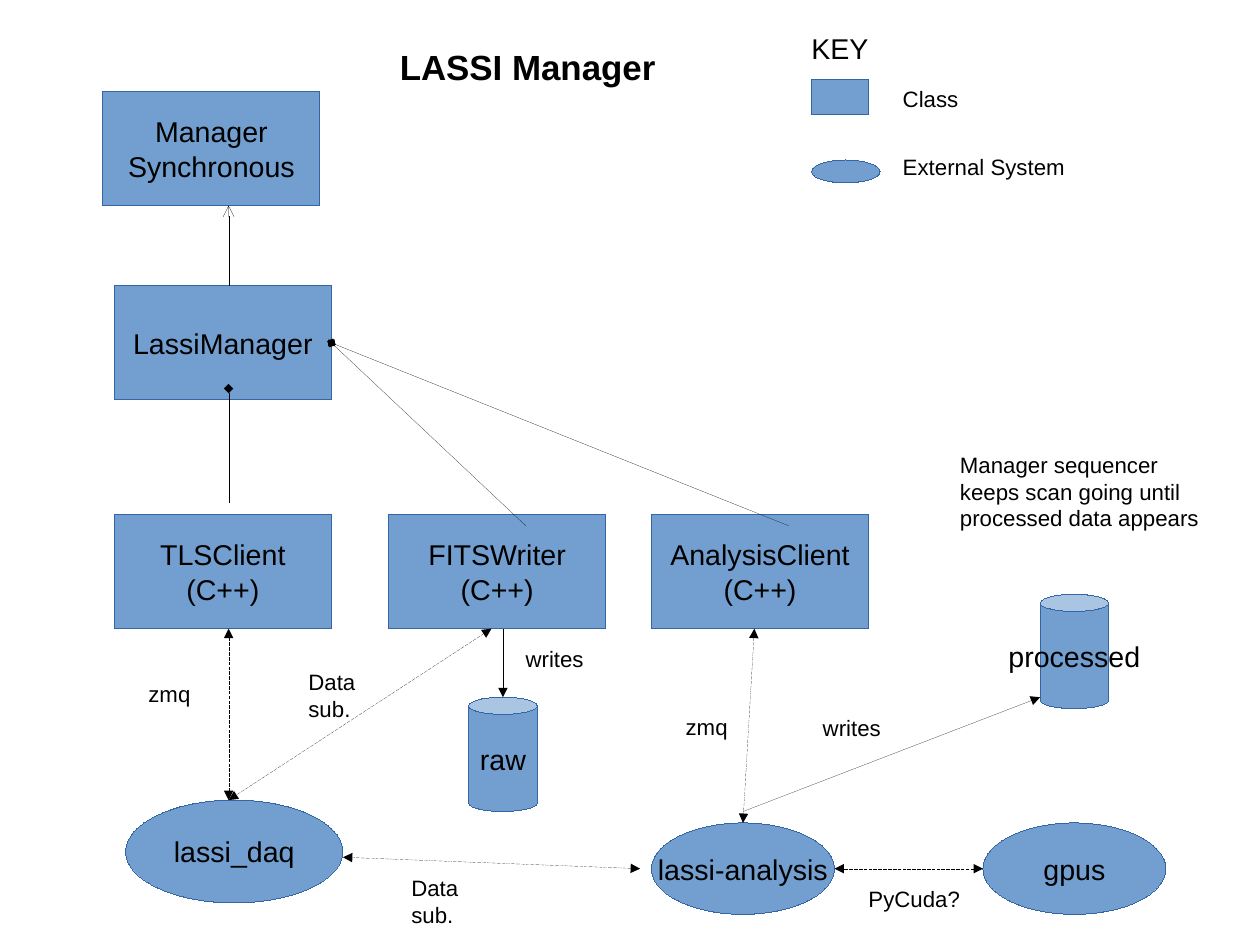
import pptx
import pptx.dml.color
import pptx.enum.dml
import pptx.enum.shapes
import pptx.enum.text
import pptx.oxml.ns
import pptx.util
from pptx.util import Inches

COLORS = {"fill": "729FCF", "outline": "3465A4", "ink": "000000", "paper": "FFFFFF"}
FONT = "Arial"
SHAPES = pptx.enum.shapes.MSO_SHAPE
ALIGN = pptx.enum.text.PP_ALIGN


def rgb(name):
    return pptx.dml.color.RGBColor.from_string(COLORS[name])


def write_text(frame, text, size=18, bold=False, align=ALIGN.LEFT, wrap=True):
    frame.word_wrap = wrap
    for index, line in enumerate(text.split("\n")):
        paragraph = frame.paragraphs[0] if index == 0 else frame.add_paragraph()
        paragraph.alignment = align
        run = paragraph.add_run()
        run.text = line
        run.font.name = FONT
        run.font.size = pptx.util.Pt(size)
        run.font.bold = bold
        run.font.color.rgb = rgb("ink")


def set_hairline(line, color):
    line.color.rgb = rgb(color)
    outline = line._get_or_add_ln()
    outline.set("w", "0")
    return outline


def add_label(slide, text, left, top, width, height, size=14, bold=False):
    box = slide.shapes.add_textbox(Inches(left), Inches(top), Inches(width), Inches(height))
    write_text(box.text_frame, text, size=size, bold=bold)
    box.text_frame.auto_size = pptx.enum.text.MSO_AUTO_SIZE.SHAPE_TO_FIT_TEXT


def add_node(slide, kind, left, top, width, height, text=""):
    shape = slide.shapes.add_shape(
        kind, Inches(left), Inches(top), Inches(width), Inches(height))
    shape.shadow.inherit = False
    shape.fill.solid()
    shape.fill.fore_color.rgb = rgb("fill")
    set_hairline(shape.line, "outline")
    if text:
        shape.text_frame.vertical_anchor = pptx.enum.text.MSO_ANCHOR.MIDDLE
        write_text(shape.text_frame, text, align=ALIGN.CENTER, wrap=False)


def add_link(slide, start, end, head=None, tail=None, dashed=False):
    connector = slide.shapes.add_connector(
        pptx.enum.shapes.MSO_CONNECTOR.STRAIGHT,
        *(Inches(value) for value in (*start, *end)))
    outline = set_hairline(connector.line, "ink")
    if dashed:
        connector.line.dash_style = pptx.enum.dml.MSO_LINE.SQUARE_DOT
    for tag, arrow in (("a:headEnd", head), ("a:tailEnd", tail)):
        if arrow:
            element = pptx.oxml.ns.qn(tag)
            outline.append(outline.makeelement(element, {"type": arrow}))
    properties = connector._element.spPr
    properties.append(properties.makeelement(pptx.oxml.ns.qn("a:effectLst"), {}))


def draw_classes(slide, left, top):
    classes = [
        (0, 0, "Manager\nSynchronous"),
        (0.1, 1.7, "LassiManager"),
        (0.1, 3.7, "TLSClient\n(C++)"),
        (2.5, 3.7, "FITSWriter\n(C++)"),
        (4.8, 3.7, "AnalysisClient\n(C++)"),
    ]
    for x, y, text in classes:
        add_node(slide, SHAPES.RECTANGLE, left + x, top + y, 1.9, 1, text)


def draw_systems(slide, left, top):
    systems = [
        (0, 0, 1.9, 0.9, "lassi_daq"),
        (4.6, 0.2, 1.6, 0.8, "lassi-analysis"),
        (7.5, 0.2, 1.6, 0.8, "gpus"),
    ]
    for x, y, width, height, text in systems:
        add_node(slide, SHAPES.OVAL, left + x, top + y, width, height, text)


def draw_stores(slide, left, top):
    for x, y, text in [(0, 0.9, "raw"), (5, 0, "processed")]:
        add_node(slide, SHAPES.CAN, left + x, top + y, 0.6, 1, text)


def draw_class_links(slide, left, top):
    links = [
        ((0, 0.7), (0, 0), "arrow"),
        ((0, 2.6), (0, 1.6), "diamond"),
        ((2.6, 2.8), (0.9, 1.2), "diamond"),
        ((4.9, 2.8), (0.9, 1.2), "diamond"),
    ]
    for (x1, y1), (x2, y2), tail in links:
        add_link(slide, (left + x1, top + y1), (left + x2, top + y2), tail=tail)


def draw_data_links(slide, left, top):
    exchanges = [
        ((0, 0), (0, 1.5)),
        ((4.6, 0), (4.5, 1.7)),
        ((2.3, 0), (0, 1.5)),
        ((3.6, 2.1), (1, 2)),
        ((6.6, 2.1), (5.3, 2.1)),
    ]
    writes = [((2.4, 0), (2.4, 0.6)), ((4.5, 1.6), (7.1, 0.6))]
    for (x1, y1), (x2, y2) in exchanges:
        add_link(slide, (left + x1, top + y1), (left + x2, top + y2),
                 head="triangle", tail="triangle", dashed=True)
    for (x1, y1), (x2, y2) in writes:
        add_link(slide, (left + x1, top + y1), (left + x2, top + y2), tail="triangle")

    labels = [
        ("PyCuda?", 5.5, 2.2, 1.3, 0.32),
        ("writes", 2.5, 0.1, 0.9, 0.32),
        ("writes", 5.1, 0.7, 0.9, 0.32),
        ("Data sub.", 0.6, 0.3, 0.7, 0.54),
        ("Data sub.", 1.5, 2.1, 0.7, 0.54),
        ("zmq", -0.8, 0.4, 0.7, 0.32),
        ("zmq", 3.9, 0.69, 0.7, 0.32),
    ]
    for text, x, y, width, height in labels:
        add_label(slide, text, left + x, top + y, width, height)


def draw_key(slide, left, top):
    add_label(slide, "KEY", left, top, 0.8, 0.38, size=18)
    add_node(slide, SHAPES.RECTANGLE, left + 0.1, top + 0.48, 0.5, 0.3)
    add_label(slide, "Class", left + 0.8, top + 0.48, 0.7, 0.32)
    add_node(slide, SHAPES.OVAL, left + 0.1, top + 1.18, 0.6, 0.2)
    add_label(slide, "External System", left + 0.8, top + 1.07, 1.8, 0.41)


def main():
    presentation = pptx.Presentation()
    presentation.slide_width = Inches(28 / 2.54)
    presentation.slide_height = Inches(21 / 2.54)
    presentation.element.sldSz.attrib.pop("type", None)
    slide = presentation.slides.add_slide(presentation.slide_layouts[6])
    slide.background.fill.solid()
    slide.background.fill.fore_color.rgb = rgb("paper")

    draw_classes(slide, 0.9, 0.8)
    draw_systems(slide, 1.1, 7)
    draw_stores(slide, 4.1, 5.2)
    draw_class_links(slide, 2, 1.8)
    draw_data_links(slide, 2, 5.5)
    draw_key(slide, 7, 0.22)
    add_label(slide, "Manager sequencer keeps scan going until processed data appears",
              8.3, 3.9, 2.4, 0.89)
    add_label(slide, "LASSI Manager", 3.4, 0.35, 2.5, 0.45, size=22, bold=True)
    presentation.save("out.pptx")


if __name__ == "__main__":
    main()
